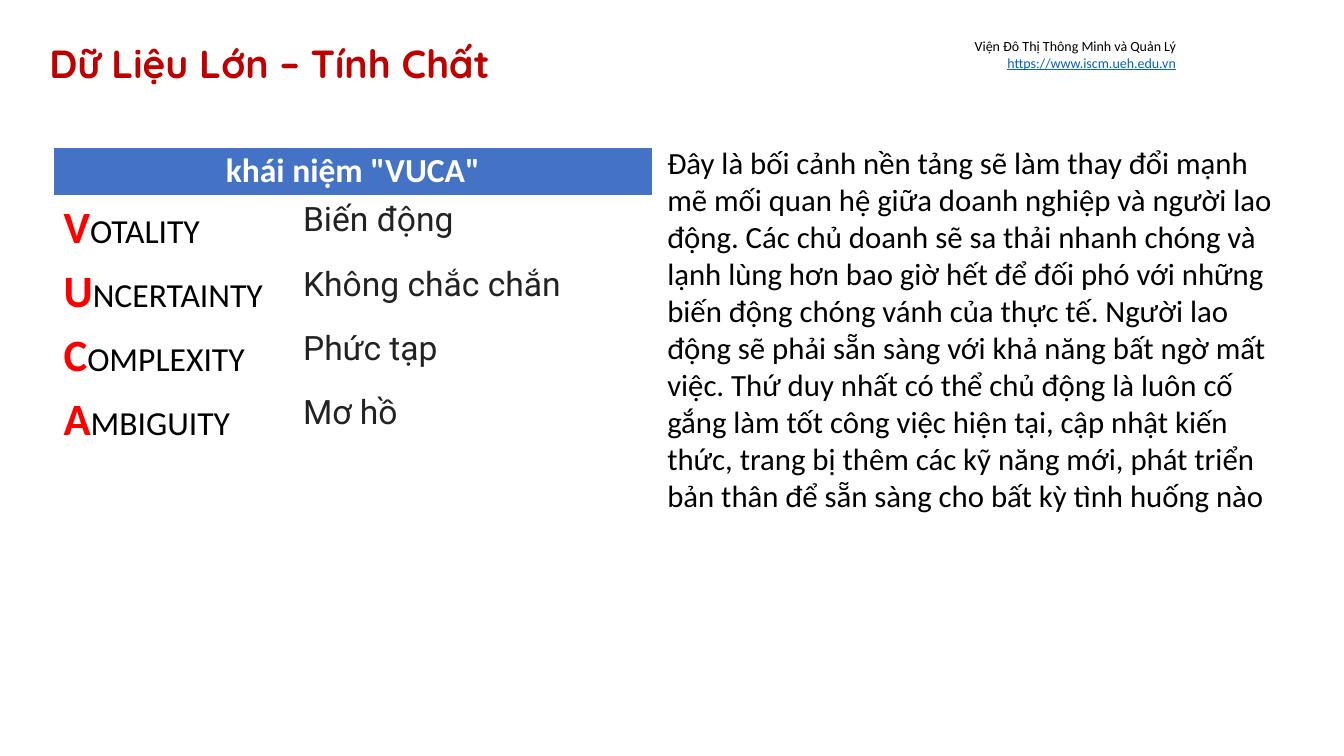
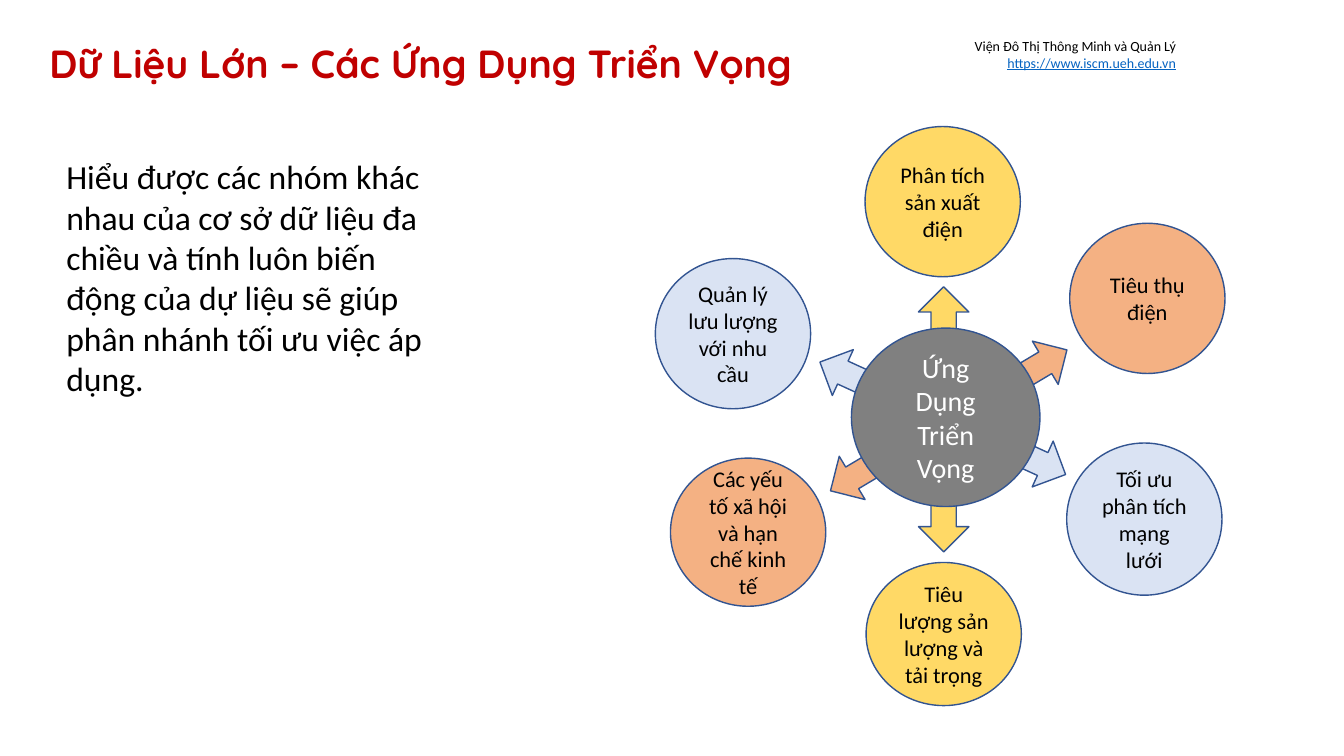
from pptx import Presentation
from pptx.dml.color import RGBColor
from pptx.enum import shapes, text
from pptx.util import Inches, Pt

BLACK, WHITE, TITLE_RED, LETTER_RED = "000000", "FFFFFF", "C00000", "FF0000"
HEADER_BLUE, LINK_BLUE, OUTLINE, HUB_GRAY = "4472C4", "0563C1", "325491", "808080"
YELLOW, ORANGE, PALE_BLUE = "FFD966", "F4B183", "DAE3F3"
TITLE_BOX = (0.39, 0.32, 12.56, 0.64)
INSTITUTE_BOX = (9.44, 0.32, 2.32, 0.44)


def rgb(value):
    return RGBColor.from_string(value)


def style(font, size, color, name="Calibri", bold=False):
    font.size, font.name, font.bold = Pt(size), name, bold
    font.color.rgb = rgb(color)


def inches(box):
    return [Inches(length) for length in box]


def add_text(slide, box, lines, size):
    """Add a wrapping text box with one paragraph per line."""
    frame = slide.shapes.add_textbox(*inches(box)).text_frame
    frame.word_wrap = True
    frame.text = "\n".join(lines)
    for paragraph in frame.paragraphs:
        style(paragraph.font, size, BLACK)
    return frame


def add_slide(deck, heading):
    """Add a slide with the shared title and institute header."""
    slide = deck.slides.add_slide(deck.slide_layouts.get_by_name("Title Only"))
    title = slide.shapes.title
    title.left, title.top, title.width, title.height = inches(TITLE_BOX)
    frame = title.text_frame
    frame.text = heading
    frame.auto_size = text.MSO_AUTO_SIZE.NONE
    frame.vertical_anchor = text.MSO_ANCHOR.BOTTOM
    frame.margin_left = frame.margin_right = Inches(0.1)
    frame.margin_top = frame.margin_bottom = Inches(0.1)
    paragraph = frame.paragraphs[0]
    paragraph.alignment = text.PP_ALIGN.LEFT
    paragraph.line_spacing = 0.9
    style(paragraph.font, 28, TITLE_RED, "Quicksand", True)

    institute = add_text(slide, INSTITUTE_BOX, [
        "Viện Đô Thị Thông Minh và Quản Lý", "https://www.iscm.ueh.edu.vn"], 10)
    for paragraph in institute.paragraphs:
        paragraph.alignment = text.PP_ALIGN.RIGHT
    address = institute.paragraphs[1].font
    address.color.rgb = rgb(LINK_BLUE)
    address.underline = True
    return slide


def add_vuca_table(slide, box, heading, terms):
    left, top, width, height = box
    header_height = 0.48
    table = slide.shapes.add_table(len(terms) + 1, 2, *inches(box)).table
    table.first_row = table.horz_banding = False
    for column, share in zip(table.columns, (0.4, 0.6)):
        column.width = Inches(width * share)
    for row in table.rows:
        row.height = Inches((height - header_height) / len(terms))
    table.rows[0].height = Inches(header_height)

    header = table.cell(0, 0)
    header.merge(table.cell(0, 1))
    header.fill.solid()
    header.fill.fore_color.rgb = rgb(HEADER_BLUE)
    header.margin_top = header.margin_bottom = Inches(0.03)
    header.text = heading
    paragraph = header.text_frame.paragraphs[0]
    paragraph.alignment = text.PP_ALIGN.CENTER
    style(paragraph.font, 24, WHITE, bold=True)

    for row, (word, meaning) in enumerate(terms, 1):
        term_cell, meaning_cell = table.cell(row, 0), table.cell(row, 1)
        term_cell.fill.background()
        meaning_cell.fill.background()
        paragraph = term_cell.text_frame.paragraphs[0]
        for part, size, color, bold in ((word[0], 32, LETTER_RED, True),
                                        (word[1:], 24, BLACK, False)):
            run = paragraph.add_run()
            run.text = part
            style(run.font, size, color, bold=bold)
        meaning_cell.text = meaning
        style(meaning_cell.text_frame.paragraphs[0].font, 24, "222222", "Roboto")


def add_outlined(slide, preset, center, size, fill):
    (x, y), (width, height) = center, size
    box = (x - width / 2, y - height / 2, width, height)
    shape = slide.shapes.add_shape(preset, *inches(box))
    shape.shadow.inherit = False
    shape.fill.solid()
    shape.fill.fore_color.rgb = rgb(fill)
    shape.line.color.rgb = rgb(OUTLINE)
    shape.line.width = Pt(1)
    return shape


def add_circle(slide, center, size, fill, label, font_size, color):
    circle = add_outlined(slide, shapes.MSO_SHAPE.OVAL, center, size, fill)
    frame = circle.text_frame
    frame.word_wrap = True
    frame.vertical_anchor = text.MSO_ANCHOR.MIDDLE
    frame.text = label
    frame.paragraphs[0].alignment = text.PP_ALIGN.CENTER
    style(frame.paragraphs[0].font, font_size, color)


def add_application_wheel(slide, center, hub_label, arrows, applications):
    """Draw a hub with two-headed arrows and circles offset from its center."""
    def placed(dx, dy):
        return center[0] + dx, center[1] + dy

    for dx, dy, length, rotation, fill in arrows:
        arrow = add_outlined(slide, shapes.MSO_SHAPE.LEFT_RIGHT_ARROW,
                             placed(dx, dy), (length, 0.5), fill)
        arrow.rotation = rotation
    for dx, dy, height, fill, label in applications:
        add_circle(slide, placed(dx, dy), (1.54, height), fill, label, 16, BLACK)
    add_circle(slide, center, (1.87, 1.77), HUB_GRAY, hub_label, 20, WHITE)


def build_properties(deck):
    slide = add_slide(deck, "Dữ Liệu Lớn – Tính Chất")
    add_vuca_table(slide, (0.53, 1.46, 5.94, 3.03), 'khái niệm "VUCA"', [
        ("VOTALITY", "Biến động"),
        ("UNCERTAINTY", "Không chắc chắn"),
        ("COMPLEXITY", "Phức tạp"),
        ("AMBIGUITY", "Mơ hồ"),
    ])
    add_text(slide, (6.52, 1.38, 6.33, 4.54), [
        "Đây là bối cảnh nền tảng sẽ làm thay đổi mạnh mẽ mối quan hệ giữa "
        "doanh nghiệp và người lao động. Các chủ doanh sẽ sa thải nhanh chóng "
        "và lạnh lùng hơn bao giờ hết để đối phó với những biến động chóng vánh "
        "của thực tế. Người lao động sẽ phải sẵn sàng với khả năng bất ngờ mất "
        "việc. Thứ duy nhất có thể chủ động là luôn cố gắng làm tốt công việc "
        "hiện tại, cập nhật kiến thức, trang bị thêm các kỹ năng mới, phát triển "
        "bản thân để sẵn sàng cho bất kỳ tình huống nào"], 22)


def build_applications(deck):
    slide = add_slide(deck, "Dữ Liệu Lớn – Các Ứng Dụng Triển Vọng")
    add_text(slide, (0.56, 1.5, 3.97, 2.52), [
        "Hiểu được các nhóm khác nhau của cơ sở dữ liệu đa chiều và tính luôn "
        "biến động của dự liệu sẽ giúp phân nhánh tối ưu việc áp dụng."], 24)
    arrows = [
        (-0.03, 0.01, 2.68, 24.6, PALE_BLUE),
        (0.03, 0.03, 2.73, 329.2, ORANGE),
        (-0.02, 0.02, 2.63, 270, YELLOW),
    ]
    applications = [
        (-0.03, -2.14, 1.49, YELLOW, "Phân tích sản xuất điện"),
        (-2.11, -0.83, 1.49, PALE_BLUE, "Quản lý lưu lượng với nhu cầu"),
        (2.0, -1.18, 1.49, ORANGE, "Tiêu thụ điện"),
        (-1.96, 1.14, 1.47, ORANGE, "Các yếu tố xã hội và hạn chế kinh tế"),
        (1.97, 1.01, 1.51, PALE_BLUE, "Tối ưu phân tích mạng lưới"),
        (-0.02, 2.15, 1.42, YELLOW, "Tiêu lượng sản lượng và tải trọng"),
    ]
    add_application_wheel(slide, (9.38, 4.14), "Ứng Dụng Triển Vọng",
                          arrows, applications)


def main():
    deck = Presentation()
    deck.slide_width, deck.slide_height = Inches(13.33), Inches(7.5)
    build_properties(deck)
    build_applications(deck)
    deck.save("out.pptx")


if __name__ == "__main__":
    main()
